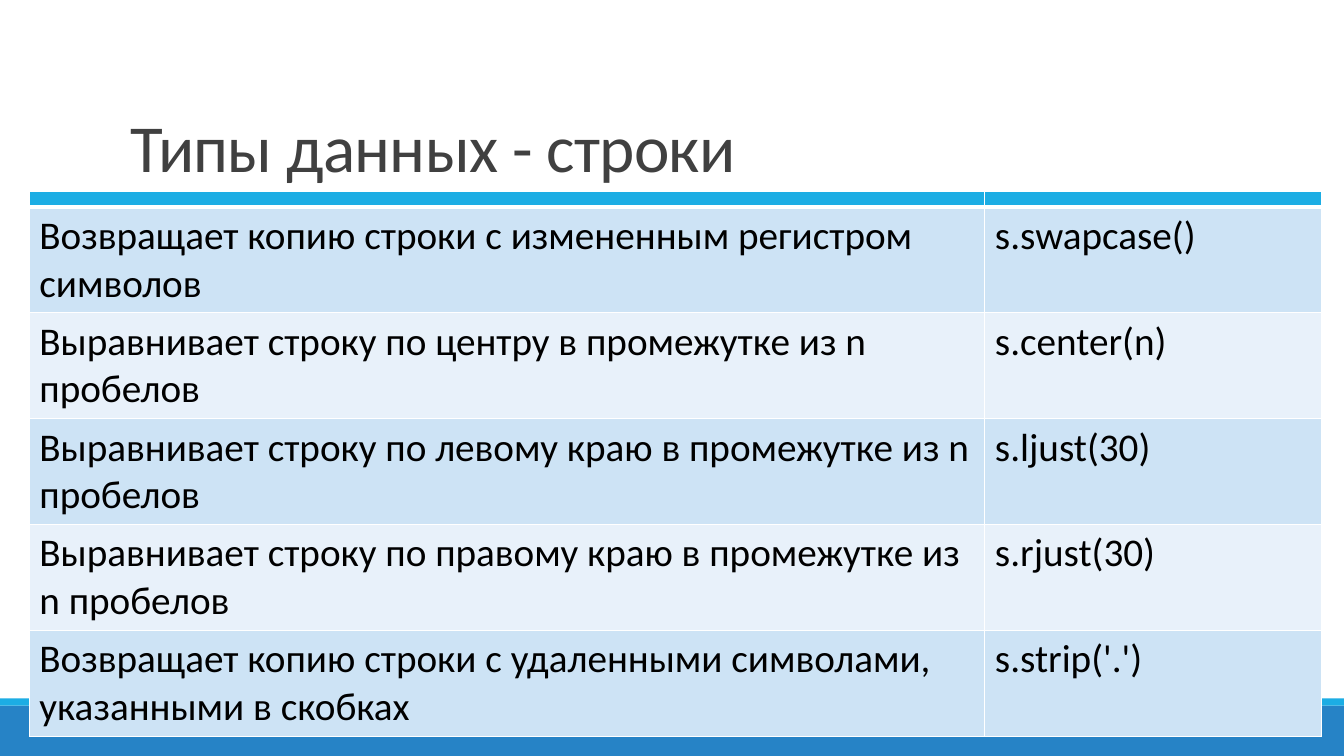
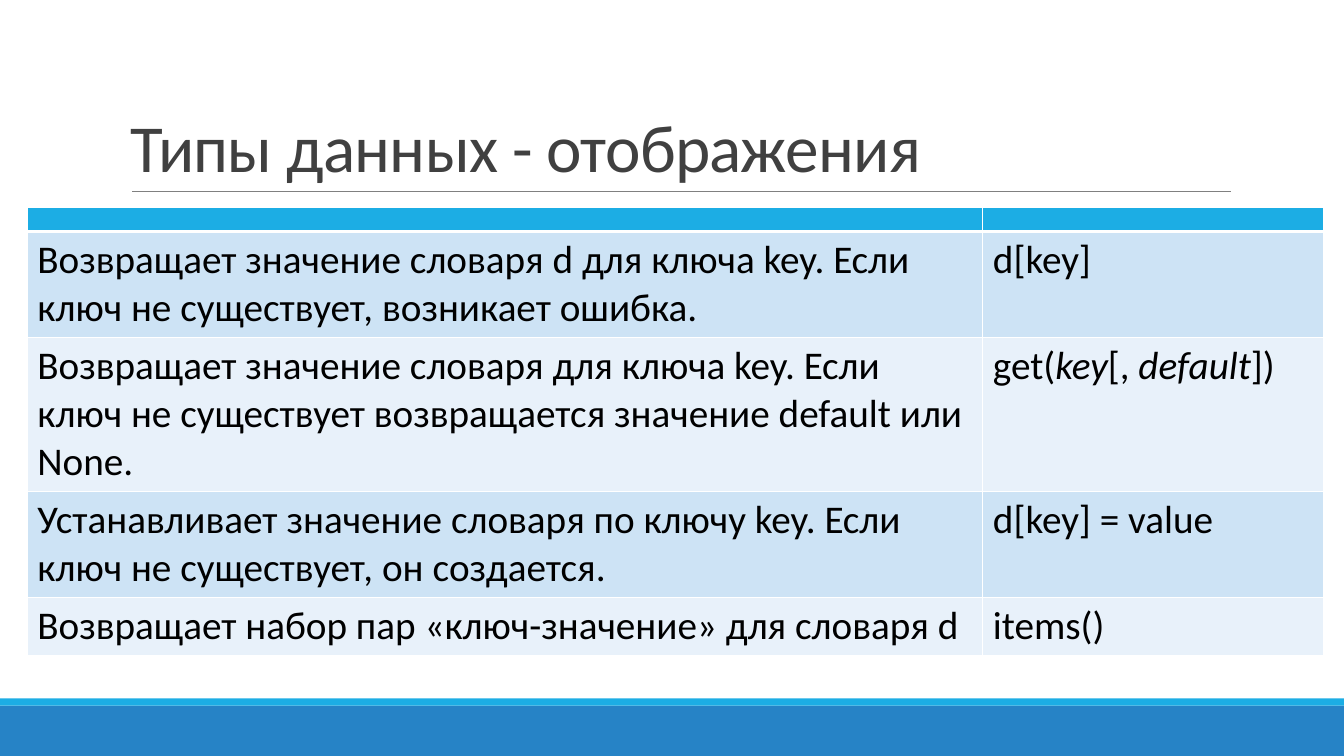
from lxml import etree
from pptx import Presentation
from pptx.dml.color import RGBColor
from pptx.enum.shapes import MSO_CONNECTOR, MSO_SHAPE
from pptx.enum.text import MSO_ANCHOR
from pptx.oxml.ns import qn
from pptx.util import Cm, Pt

RECT = MSO_SHAPE.RECTANGLE
STRAIGHT = MSO_CONNECTOR.STRAIGHT
BOTTOM = MSO_ANCHOR.BOTTOM

BLUE = RGBColor(0x26, 0x83, 0xC6)
CYAN = RGBColor(0x1C, 0xAD, 0xE4)
ROW_FILLS = RGBColor(0xCD, 0xE3, 0xF5), RGBColor(0xE8, 0xF1, 0xFA)
GRAY = RGBColor(0x80, 0x80, 0x80)
DARK = RGBColor(0x40, 0x40, 0x40)
BLACK = RGBColor(0, 0, 0)
WHITE = RGBColor(0xFF, 0xFF, 0xFF)

FONT = "Calibri"
WIDTH, HEIGHT = 33.87, 19.05
LINE_HEIGHT, CELL_PADDING = 1.21, 0.25

STRING_ROWS = [
    (2, "Возвращает копию строки с измененным регистром символов", "s.swapcase()"),
    (2, "Выравнивает строку по центру в промежутке из n пробелов", "s.center(n)"),
    (2, "Выравнивает строку по левому краю в промежутке из n пробелов", "s.ljust(30)"),
    (2, "Выравнивает строку по правому краю в промежутке из n пробелов", "s.rjust(30)"),
    (2, "Возвращает копию строки c удаленными символами, указанными в скобках",
     "s.strip('.')"),
]
MAPPING_ROWS = [
    (2, "Возвращает значение словаря d для ключа key. Если ключ не существует, "
        "возникает ошибка.", "d[key]"),
    (3, "Возвращает значение словаря для ключа key. Если ключ не существует "
        "возвращается значение default или None.",
     ("get(", "key", "[, ", "default", "])")),
    (2, "Устанавливает значение словаря по ключу key. Если ключ не существует, "
        "он создается.", "d[key] = value"),
    (1, "Возвращает набор пар «ключ-значение» для словаря d", "items()"),
]


def write(tf, text, size=28, color=BLACK, spacing=None, tracking=None):
    """Fill a text frame; in a tuple of pieces every second one is italic."""
    tf.word_wrap = True
    p = tf.paragraphs[0]
    if spacing:
        p.line_spacing = spacing
    for i, piece in enumerate((text,) if isinstance(text, str) else text):
        r = p.add_run()
        r.text = piece
        r.font.name = FONT
        r.font.size = Pt(size)
        r.font.color.rgb = color
        if i % 2:
            r.font.italic = True
        if tracking:
            r.font._element.set("spc", str(int(tracking * 100)))


def set_borders(cell, top=1, bottom=1):
    tc_pr = cell._tc.get_or_add_tcPr()
    for side, width in (("L", 1), ("R", 1), ("T", top), ("B", bottom)):
        ln = etree.SubElement(tc_pr, qn(f"a:ln{side}"), w=str(Pt(width)))
        fill = etree.SubElement(ln, qn("a:solidFill"))
        etree.SubElement(fill, qn("a:srgbClr"), val=str(WHITE))


class Deck:
    def __init__(self):
        self.prs = Presentation()
        self.prs.slide_width = Cm(WIDTH)
        self.prs.slide_height = Cm(HEIGHT)
        self.slide = None

    def add_slide(self, title):
        self.slide = self.prs.slides.add_slide(self.prs.slide_layouts[6])
        self.band(17.78, 1.27, BLUE)
        self.band(17.6, 0.18, CYAN)
        self.rule(3.33, 31.01, 4.83)
        self.title(title)

    def band(self, top, height, color):
        sp = self.slide.shapes.add_shape(RECT, 0, Cm(top), Cm(WIDTH), Cm(height))
        sp.shadow.inherit = False
        sp.fill.solid()
        sp.fill.fore_color.rgb = color
        sp.line.fill.background()

    def rule(self, left, right, y):
        line = self.slide.shapes.add_connector(STRAIGHT, Cm(left), Cm(y), Cm(right), Cm(y))
        line.line.color.rgb = GRAY
        line.line.width = Pt(0.5)
        etree.SubElement(line._element.spPr, qn("a:effectLst"))

    def title(self, text):
        sp = self.slide.shapes.add_textbox(Cm(3.05), Cm(0.79), Cm(27.94), Cm(4.04))
        sp.text_frame.vertical_anchor = BOTTOM
        write(sp.text_frame, text, size=48, color=DARK, spacing=0.85, tracking=-0.5)

    def table(self, left, top, widths, header_height, rows):
        """Each row holds its number of text lines, a description and code."""
        heights = [header_height] + [n * LINE_HEIGHT + CELL_PADDING for n, *_ in rows]
        table = self.slide.shapes.add_table(
            len(heights), len(widths), Cm(left), Cm(top),
            Cm(sum(widths)), Cm(sum(heights))).table
        table.first_row = table.horz_banding = False
        for column, width in zip(table.columns, widths):
            column.width = Cm(width)
        for row, height in zip(table.rows, heights):
            row.height = Cm(height)
        for cell in table.rows[0].cells:
            self.header_cell(cell)
        for i, (_, *texts) in enumerate(rows):
            for cell, text in zip(table.rows[i + 1].cells, texts):
                set_borders(cell, top=1 if i else 3)
                cell.fill.solid()
                cell.fill.fore_color.rgb = ROW_FILLS[i % 2]
                write(cell.text_frame, text)

    def header_cell(self, cell):
        """Empty coloured cell, with tiny text so that the row stays low."""
        cell.margin_top = cell.margin_bottom = 0
        set_borders(cell, bottom=3)
        cell.fill.solid()
        cell.fill.fore_color.rgb = CYAN
        p = cell.text_frame.paragraphs[0]
        etree.SubElement(p._p, qn("a:endParaRPr"), sz="400")


def main():
    deck = Deck()
    deck.add_slide("Типы данных - строки")
    deck.table(0.74, 4.83, (24.08, 8.48), 0.38, STRING_ROWS)
    deck.add_slide("Типы данных - отображения")
    deck.table(0.69, 5.23, (24.08, 8.58), 0.6, MAPPING_ROWS)
    deck.prs.save("out.pptx")


if __name__ == "__main__":
    main()
